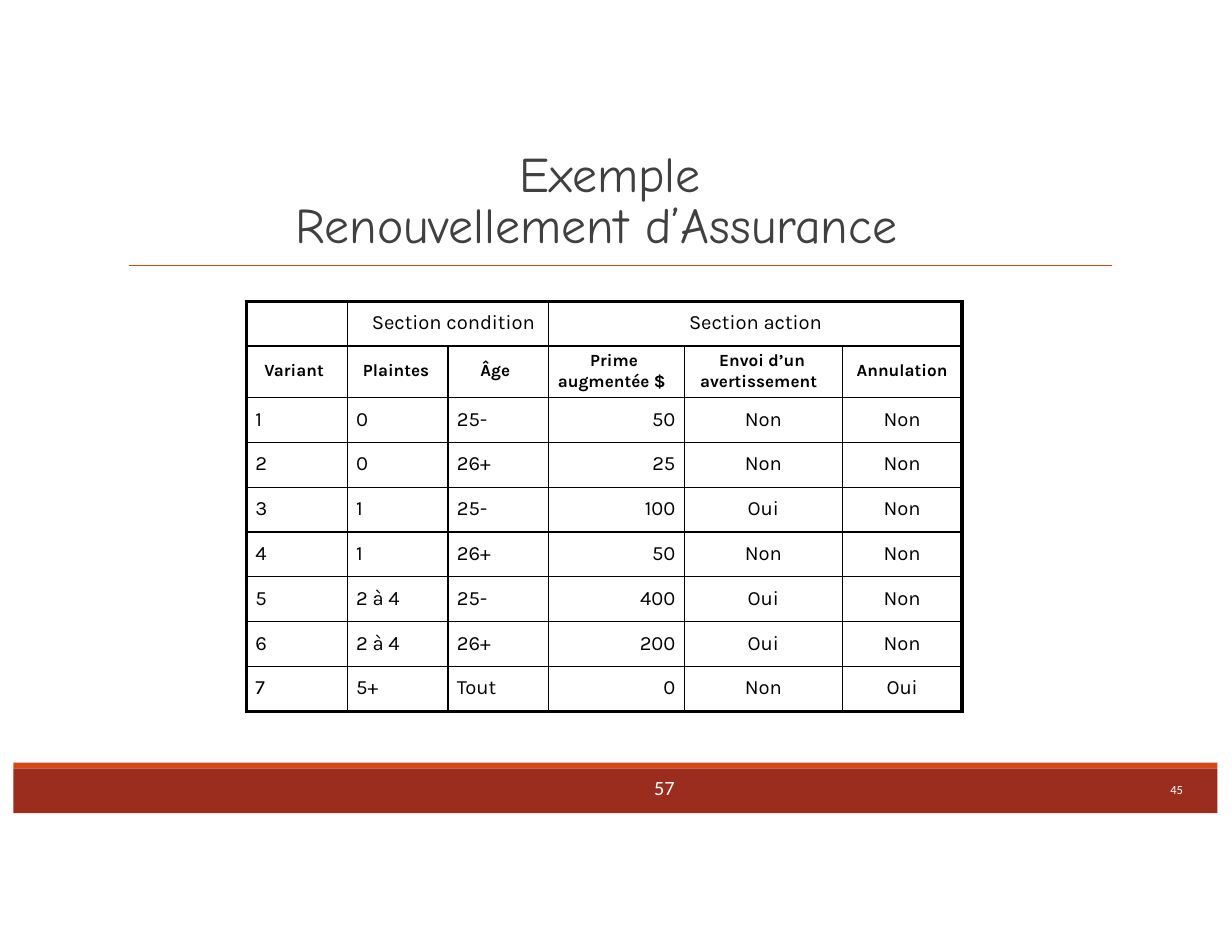
import pptx
import pptx.util
import pptx.dml.color
import pptx.enum.shapes
import pptx.enum.text
import pptx.oxml.ns
import lxml.etree

Inches = pptx.util.Inches
Pt = pptx.util.Pt
ALIGN = pptx.enum.text.PP_ALIGN
KINDS = pptx.enum.shapes


def paint(hue):
    return pptx.dml.color.RGBColor.from_string(hue)


def write(frame, text, face, size, hue, left=0, top=0, first=0, bold=False):
    frame.word_wrap = True
    frame.margin_left = frame.margin_right = frame.margin_bottom = 0
    frame.margin_top = Inches(top)
    para = frame.paragraphs[0]
    props = para._p.get_or_add_pPr()
    props.set("marL", str(Inches(left)))
    props.set("indent", str(Inches(first)))
    run = para.add_run()
    run.text = text
    run.font.name = face
    run.font.size = Pt(size)
    run.font.bold = bold
    run.font.color.rgb = paint(hue)
    return para


deck = pptx.Presentation()
deck.slide_width = Inches(11)
deck.slide_height = Inches(8.5)
slide = deck.slides.add_slide(deck.slide_layouts[6])
shapes = slide.shapes

for top, high, hue in [(6.86, 0.4, "9B2D1F"), (6.81, 0.05, "D34817")]:
    bar = shapes.add_shape(KINDS.MSO_SHAPE.RECTANGLE, Inches(0.12), Inches(top), Inches(10.75), Inches(high))
    bar.shadow.inherit = False
    bar.fill.solid()
    bar.fill.fore_color.rgb = paint(hue)
    bar.line.fill.background()

rule = shapes.add_connector(KINDS.MSO_CONNECTOR.STRAIGHT, Inches(1.15), Inches(2.37), Inches(9.93), Inches(2.37))
rule.line.color.rgb = paint("D34817")
rule.line.width = Pt(1)
lxml.etree.SubElement(rule._element.spPr, pptx.oxml.ns.qn("a:effectLst"))

widths = [0.9, 0.9, 0.9, 1.21, 1.41, 1.07]
heights = [0.4, 0.46] + [0.4] * 7
rows = [
    ["", "Section condition", "", "Section action", "", ""],
    ["Variant", "Plaintes", "Âge", "Prime augmentée $", "Envoi d’un avertissement", "Annulation"],
    ["1", "0", "25-", "50", "Non", "Non"],
    ["2", "0", "26+", "25", "Non", "Non"],
    ["3", "1", "25-", "100", "Oui", "Non"],
    ["4", "1", "26+", "50", "Non", "Non"],
    ["5", "2 à 4", "25-", "400", "Oui", "Non"],
    ["6", "2 à 4", "26+", "200", "Oui", "Non"],
    ["7", "5+", "Tout", "0", "Non", "Oui"],
]
heads = [(0.16, 0), (0.14, 0), (0.29, 0), (0.08, 0.29), (0.14, 0.17), (0, 0)]
aligns = [ALIGN.LEFT] * 3 + [ALIGN.RIGHT] + [ALIGN.CENTER] * 2
spans = {(0, 1): 2, (0, 3): 3}

table = shapes.add_table(9, 6, Inches(2.2), Inches(2.69), Inches(sum(widths)), Inches(sum(heights))).table
table.first_row = False
table.horz_banding = False
for col, wide in zip(table.columns, widths):
    col.width = Inches(wide)
for row, high in zip(table.rows, heights):
    row.height = Inches(high)

for (r, c), span in spans.items():
    table.cell(r, c).merge(table.cell(r, c + span - 1))

for r, row in enumerate(rows):
    for c, text in enumerate(row):
        cell = table.cell(r, c)
        left, first, top = 0.08 if c < 3 else 0, 0, 0.09
        align, size = aligns[c], 13
        if r == 0:
            left = 0.22 if c == 1 else 0
            align = ALIGN.LEFT if c < 3 else ALIGN.CENTER
        elif r == 1:
            left, first = heads[c]
            top = 0.03 if first else 0.13
            align = ALIGN.CENTER if c == 5 else ALIGN.LEFT
            size = 11
        cell.margin_left = cell.margin_bottom = 0
        cell.margin_right = Inches(0.08 if align == ALIGN.RIGHT else 0)
        cell.margin_top = Inches(top)
        if text:
            para = cell.text_frame.paragraphs[0]
            props = para._p.get_or_add_pPr()
            props.set("marL", str(Inches(left)))
            props.set("indent", str(Inches(first)))
            para.alignment = align
            if first:
                para.line_spacing = 1.06
            run = para.add_run()
            run.text = text
            run.font.name = "Karla"
            run.font.size = Pt(size)
            run.font.bold = r == 1
            run.font.color.rgb = paint("000000")
        last = c + spans.get((r, c), 1) - 1
        edges = {"lnL": c == 0, "lnR": last == 5, "lnT": r == 0, "lnB": r == 8}
        props = cell._tc.get_or_add_tcPr()
        for tag, outer in edges.items():
            edge = lxml.etree.SubElement(props, pptx.oxml.ns.qn("a:" + tag), w=str(Pt(2.25 if outer else 1)))
            fill = lxml.etree.SubElement(edge, pptx.oxml.ns.qn("a:solidFill"))
            lxml.etree.SubElement(fill, pptx.oxml.ns.qn("a:srgbClr"), val="000000")
        cell.fill.background()

for text, x, y, wide, high, size, left, top in [
    ("57", 5.8, 6.92, 0.28, 0.25, 13, 0.04, 0),
    ("45", 10.44, 6.97, 0.14, 0.16, 8, 0.01, 0.01),
]:
    box = shapes.add_textbox(Inches(x), Inches(y), Inches(wide), Inches(high))
    write(box.text_frame, text, "Calibri", size, "FFFFFF", left, top)

title = shapes.add_textbox(Inches(2.63), Inches(1.26), Inches(5.77), Inches(1.02))
para = write(title.text_frame, "Exemple Renouvellement d’Assurance", "Comic Neue", 32, "404040", 0.01, 0.09, 2)
para.line_spacing = Pt(33)

deck.save("out.pptx")
